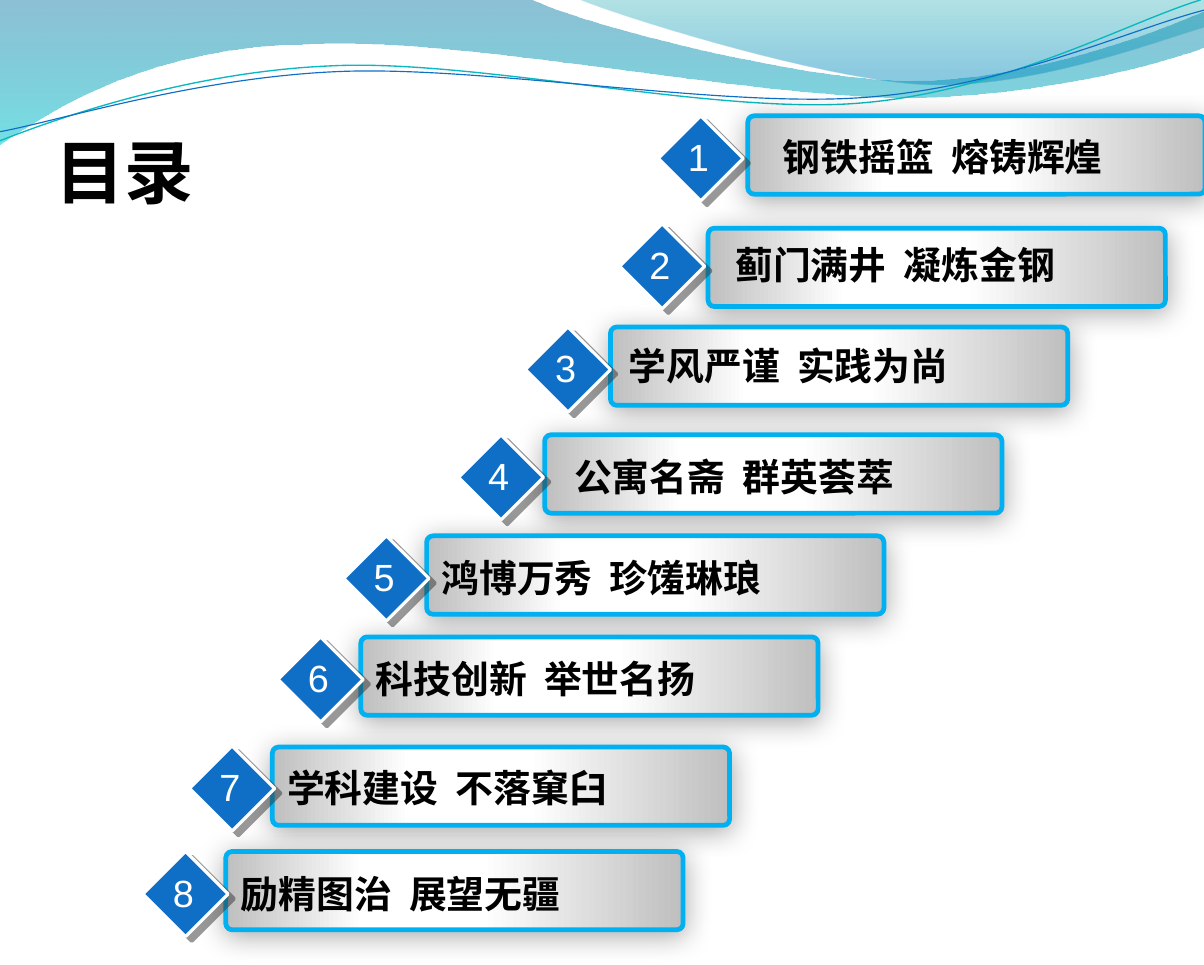
"""Build a contents slide with a wave header and eight stepped entries."""
from lxml import etree
from pptx import Presentation
from pptx.dml.color import RGBColor
from pptx.enum.shapes import MSO_SHAPE
from pptx.enum.text import MSO_ANCHOR, PP_ALIGN
from pptx.oxml.ns import qn
from pptx.util import Inches, Pt

ROUNDED, DIAMOND = MSO_SHAPE.ROUNDED_RECTANGLE, MSO_SHAPE.DIAMOND
LEFT, CENTER, MIDDLE = PP_ALIGN.LEFT, PP_ALIGN.CENTER, MSO_ANCHOR.MIDDLE

TITLE = "目录"
# caption, diamond left and top, bar left and top, caption left, top and width
ENTRIES = [
    ("钢铁摇篮  熔铸辉煌", 5.8, 1.02, 6.59, 1.02, 6.82, 1.12, 3.74),
    ("蓟门满井  凝炼金钢", 5.46, 1.97, 6.24, 2.01, 6.4, 2.07, 3.44),
    ("学风严谨  实践为尚", 4.63, 2.88, 5.38, 2.88, 5.46, 2.96, 3.92),
    ("公寓名斋  群英荟萃", 4.04, 3.83, 4.8, 3.83, 4.98, 3.94, 3.68),
    ("鸿博万秀  珍馐琳琅", 3.03, 4.72, 3.76, 4.72, 3.81, 4.83, 5.02),
    ("科技创新  举世名扬", 2.45, 5.61, 3.18, 5.61, 3.23, 5.72, 5.02),
    ("学科建设  不落窠臼", 1.67, 6.57, 2.4, 6.58, 2.45, 6.68, 5.02),
    ("励精图治  展望无疆", 1.26, 7.5, 1.99, 7.5, 2.04, 7.61, 5.02),
]
BAR_SIZE = (4.03, 0.69)
DIAMOND_SIZE = (0.75, 0.75)
NUMBER_SIZE = (0.39, 0.5)
NUMBER_OFFSET = (0.16, 0.11)
CAPTION_HEIGHT = 0.51

COLORS = {
    "text": "000000", "white": "FFFFFF", "silver": "BFBFBF", "border": "00B0F0",
    "blue": "0F6FC6", "teal": "0AB8BF", "bar_shadow": "000000", "diamond_shadow": "333333",
    "wave_top": "0074A1", "wave_bottom": "00C6CF", "crest_top": "00A1A9", "crest_bottom": "008BBF",
}
# stops hold position, colour and opacity in percent
BAR_STOPS = [(0, "silver", 100), (30, "white", 100), (56, "white", 100), (100, "silver", 100)]
WAVE_STOPS = [(0, "wave_top", 45), (100, "wave_bottom", 55)]
CREST_STOPS = [(0, "crest_top", 30), (80, "crest_bottom", 45)]
BAR_SHADOW = {"color": "bar_shadow", "opacity": 33, "blur": 17.8, "distance": 3, "angle": 87}
DIAMOND_SHADOW = {"color": "diamond_shadow", "opacity": 50, "blur": 0, "distance": 5, "angle": 37}

# a pair is a straight step, six numbers are a Bézier curve
WAVE = [(0, 0), (4.67, -0.01), (5.05, 0.19, 7.04, 0.71, 8.04, 0.71),
        (9.05, 0.71, 10.17, 0.29, 10.61, 0.1), (10.62, 0.41),
        (10.43, 0.5, 9.23, 0.86, 7.91, 0.86), (6.6, 0.85, 4.05, 0.32, 2.73, 0.39),
        (1.37, 0.4, 0.49, 0.94, -0.01, 1.28)]
CREST = [(5.08, -0.01), (5.4, 0.13, 7.23, 0.7, 8.15, 0.74),
         (9.08, 0.78, 10.2, 0.36, 10.61, 0.24), (10.61, 0)]
TEAL_CURVE = [(0, 1.24), (0.51, 1.04, 1.67, 0.63, 2.93, 0.58),
              (4.19, 0.52, 6.29, 1.01, 7.56, 0.91), (8.84, 0.81, 9.95, 0.19, 10.58, 0)]
BLUE_CURVE = [(0, 1.16), (0.5, 1.07, 1.73, 0.68, 3, 0.63),
              (4.27, 0.58, 6.34, 0.95, 7.6, 0.86), (8.87, 0.77, 9.98, 0.25, 10.61, 0.09)]
FILLED_WAVES = [(WAVE, WAVE_STOPS), (CREST, CREST_STOPS)]
LINE_WAVES = [(TEAL_CURVE, "teal", 0.85), (BLUE_CURVE, "blue", 0.75)]


def rgb(name):
    return RGBColor.from_string(COLORS[name])


def add_color(parent, name, opacity):
    color = etree.SubElement(parent, qn("a:srgbClr"), val=COLORS[name])
    if opacity < 100:
        etree.SubElement(color, qn("a:alpha"), val=str(opacity * 1000))


def set_gradient(shape, stops, angle):
    shape.fill.gradient()
    gradient = shape.element.spPr.find(qn("a:gradFill"))
    for child in list(gradient):
        gradient.remove(child)
    stop_list = etree.SubElement(gradient, qn("a:gsLst"))
    for position, name, opacity in stops:
        stop = etree.SubElement(stop_list, qn("a:gs"), pos=str(position * 1000))
        add_color(stop, name, opacity)
    etree.SubElement(gradient, qn("a:lin"), ang=str(angle * 60000), scaled="0")


def set_line(shape, name, width):
    shape.line.color.rgb = rgb(name)
    shape.line.width = Pt(width)


def set_shadow(shape, shadow):
    shape.shadow.inherit = False
    effects = shape.element.spPr.find(qn("a:effectLst"))
    outer = etree.SubElement(
        effects, qn("a:outerShdw"), blurRad=str(Pt(shadow["blur"])),
        dist=str(Pt(shadow["distance"])), dir=str(shadow["angle"] * 60000),
        algn="ctr", rotWithShape="0")
    add_color(outer, shadow["color"], shadow["opacity"])


def set_text(shape, text, font, color, align, wrap=True, inset=0.08):
    frame = shape.text_frame
    frame_format = {"word_wrap": wrap, "vertical_anchor": MIDDLE, "margin_left": Inches(inset),
                    "margin_right": Inches(inset), "margin_top": 0, "margin_bottom": 0}
    for name, value in frame_format.items():
        setattr(frame, name, value)
    para = frame.paragraphs[0]
    para.alignment = align
    span = para.add_run()
    span.text = text
    for name, value in font.items():
        setattr(span.font, name, value)
    span.font.color.rgb = rgb(color)


def add_wave(page, steps, close):
    points = [(Inches(step[i]), Inches(step[i + 1]))
              for step in steps for i in range(0, len(step), 2)]
    builder = page.shapes.build_freeform(*points[0])
    builder.add_line_segments(points[1:], close=close)
    wave = builder.convert_to_shape()
    wave.shadow.inherit = False

    segments = iter(list(wave.element.iter(qn("a:lnTo"))))
    for step in steps[1:]:
        segment = next(segments)
        if len(step) == 6:
            curve = etree.Element(qn("a:cubicBezTo"))
            segment.addprevious(curve)
            for line in (segment, next(segments), next(segments)):
                curve.append(line[0])
                line.getparent().remove(line)
    return wave


def add_box(page, kind, left, top, size):
    return page.shapes.add_shape(kind, *(Inches(n) for n in (left, top, *size)))


def add_label(page, left, top, size, *text_format, **options):
    label = page.shapes.add_textbox(*(Inches(n) for n in (left, top, *size)))
    set_text(label, *text_format, **options)


def add_entry(page, number, entry):
    (caption, diamond_left, diamond_top, bar_left, bar_top,
     caption_left, caption_top, caption_width) = entry
    font = {"name": "Arial", "size": Pt(24)}

    bar = add_box(page, ROUNDED, bar_left, bar_top, BAR_SIZE)
    bar.adjustments[0] = 0.08
    set_gradient(bar, BAR_STOPS, 0)
    set_line(bar, "border", 3)
    set_shadow(bar, BAR_SHADOW)
    add_label(page, caption_left, caption_top, (caption_width, CAPTION_HEIGHT),
              caption, {**font, "bold": True}, "text", LEFT)

    diamond = add_box(page, DIAMOND, diamond_left, diamond_top, DIAMOND_SIZE)
    diamond.fill.solid()
    diamond.fill.fore_color.rgb = rgb("blue")
    set_line(diamond, "white", 2)
    set_shadow(diamond, DIAMOND_SHADOW)
    add_label(page, diamond_left + NUMBER_OFFSET[0], diamond_top + NUMBER_OFFSET[1],
              NUMBER_SIZE, str(number), font, "white", CENTER, wrap=False)


def main():
    deck = Presentation()
    deck.slide_width, deck.slide_height = Inches(10.61), Inches(8.5)
    page = deck.slides.add_slide(deck.slide_layouts[5])

    title = page.shapes.title
    place = {"left": 0.39, "top": 1.08, "width": 3.33, "height": 0.84}
    for name, value in place.items():
        setattr(title, name, Inches(value))
    set_text(title, TITLE, {"name": "DejaVu Sans Mono", "size": Pt(44), "bold": True},
             "text", LEFT, inset=0.1)

    for steps, stops in FILLED_WAVES:
        wave = add_wave(page, steps, True)
        set_gradient(wave, stops, 90)
        wave.line.fill.background()
    for steps, color, width in LINE_WAVES:
        wave = add_wave(page, steps, False)
        wave.fill.background()
        set_line(wave, color, width)

    for number, entry in enumerate(ENTRIES, 1):
        add_entry(page, number, entry)
    deck.save("out.pptx")


if __name__ == "__main__":
    main()
